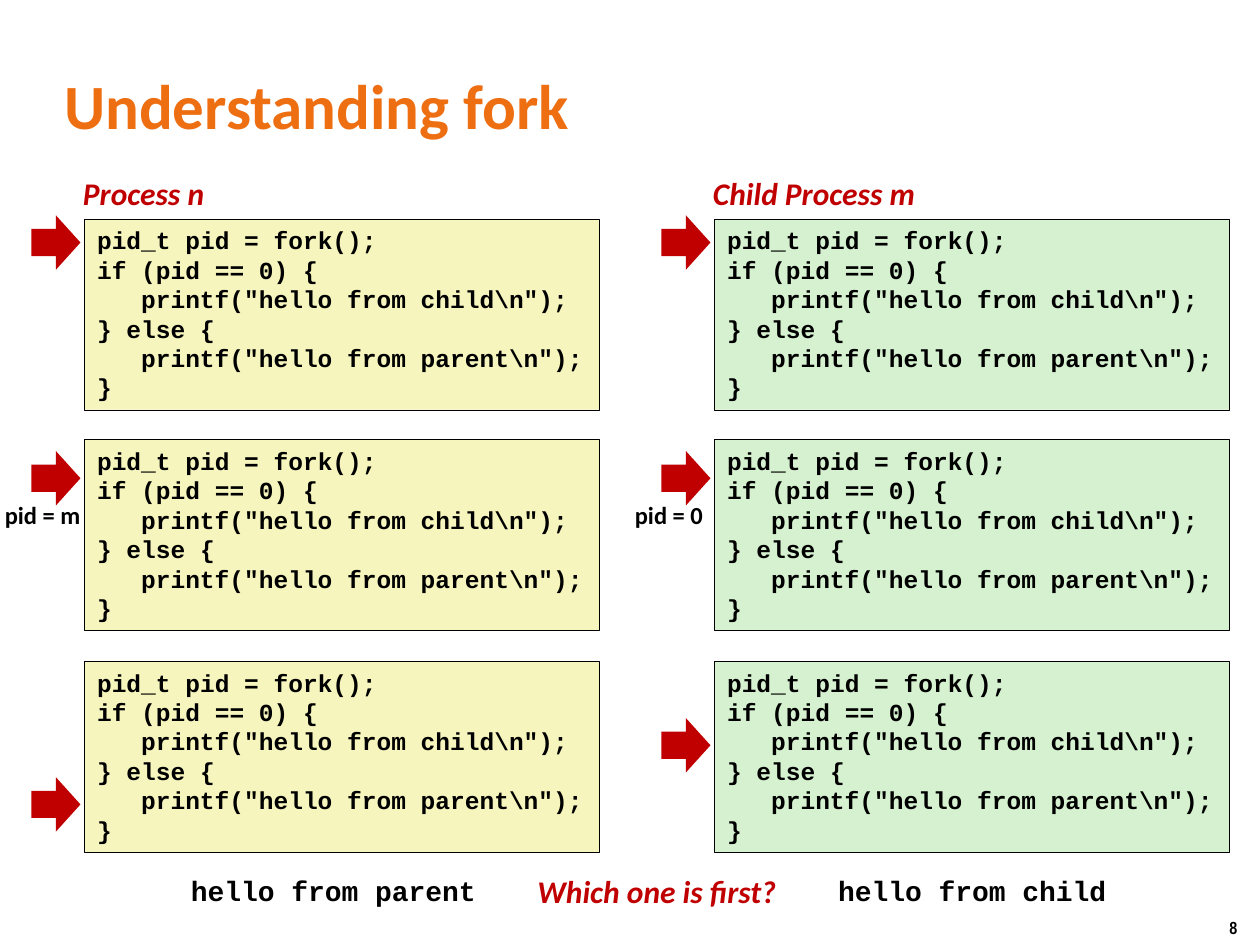
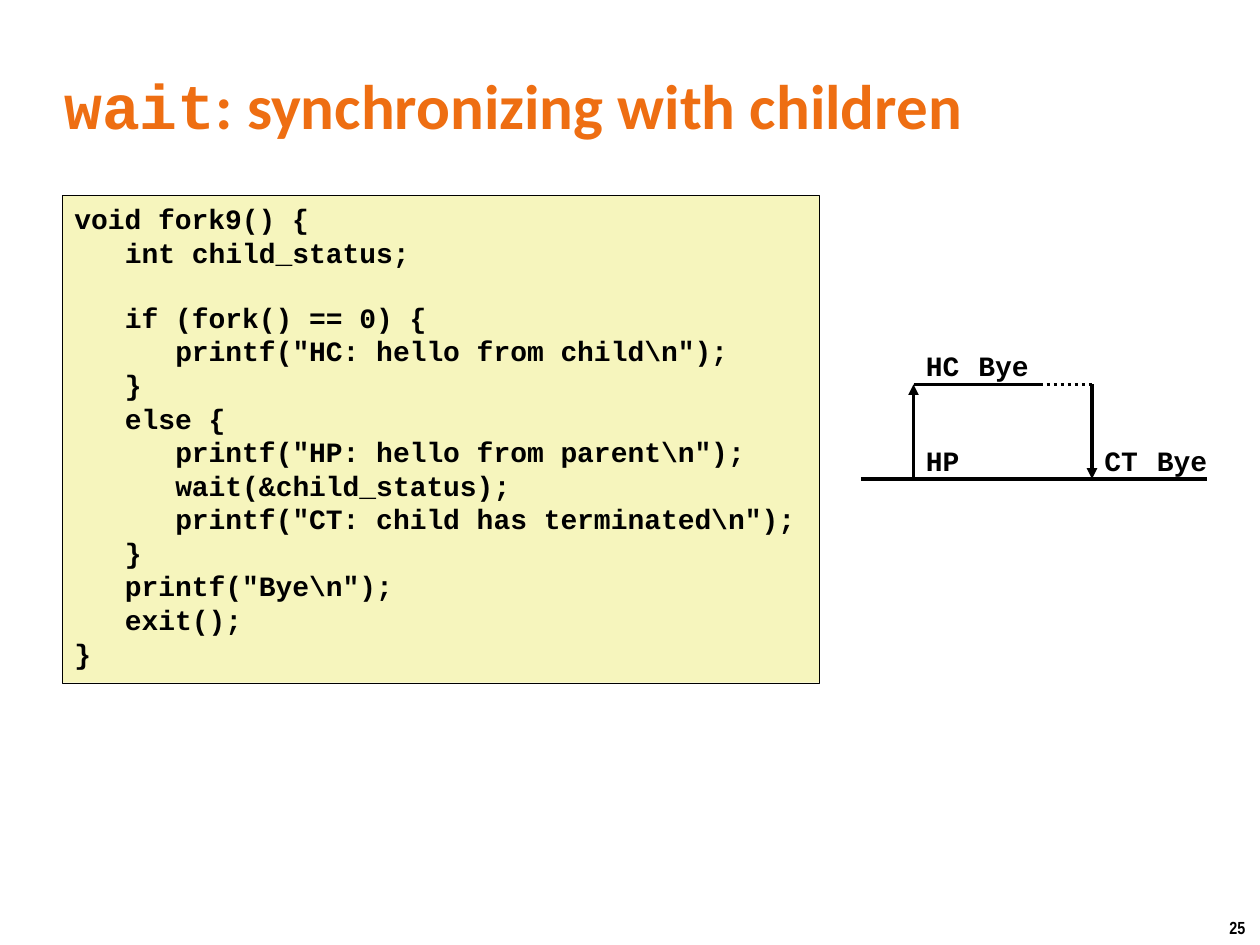
import itertools

import pptx
import pptx.dml.color
import pptx.enum.dml
import pptx.enum.shapes
import pptx.enum.text
import pptx.oxml
import pptx.oxml.ns
import pptx.util
from pptx.util import Pt

COLOURS = {
    "title": "EE6E12",
    "accent": "C00000",
    "ink": "000000",
    "parent": "F6F5BD",
    "child": "D5F1CF",
}
SANS, MONO, NARROW = "Calibri", "Courier New", "Arial Narrow"
MONO_ADVANCE, MONO_LEADING = 0.6, 1.133

FORK_CODE = r"""pid_t pid = fork();
if (pid == 0) {
   printf("hello from child\n");
} else {
   printf("hello from parent\n");
}"""

WAIT_CODE = r"""void fork9() {
   int child_status;

   if (fork() == 0) {
      printf("HC: hello from child\n");
   }
   else {
      printf("HP: hello from parent\n");
      wait(&child_status);
      printf("CT: child has terminated\n");
   }
   printf("Bye\n");
   exit();
}"""


def colour(name):
    return pptx.dml.color.RGBColor.from_string(COLOURS[name])


class Deck:
    """Holds the shared style and the slide being built."""

    def __init__(self):
        self.presentation = pptx.Presentation()
        self.presentation.slide_width = Pt(720)
        self.presentation.slide_height = Pt(540)
        self.slide = None

    def start_slide(self, title_parts, number):
        """Adds a titled slide; title_parts are (text, font) pairs."""
        layout = self.presentation.slide_layouts[5]
        self.slide = self.presentation.slides.add_slide(layout)
        title = self.slide.shapes.title
        title.left, title.top = Pt(29.5), Pt(29.5)
        title.width, title.height = Pt(660), Pt(60)
        frame = title.text_frame
        frame.auto_size = pptx.enum.text.MSO_AUTO_SIZE.NONE
        frame.vertical_anchor = pptx.enum.text.MSO_ANCHOR.MIDDLE
        paragraph = frame.paragraphs[0]
        self.indent(paragraph, 9.36, -9.36)
        for text, font in title_parts:
            self.run(paragraph, text, 36, font, "title")
        self.label(number, 695.5, 520.5, 24.5, 19.5, 10, NARROW)

    def indent(self, paragraph, left, first=0):
        paragraph.alignment = pptx.enum.text.PP_ALIGN.LEFT
        properties = paragraph._p.get_or_add_pPr()
        properties.set("marL", str(Pt(left)))
        properties.set("indent", str(Pt(first)))

    def run(self, paragraph, text, size, font, ink="ink", italic=False):
        run = paragraph.add_run()
        run.text = text
        run.font.size = Pt(size)
        run.font.name = font
        run.font.bold = True
        run.font.italic = italic
        run.font.color.rgb = colour(ink)

    def label(self, text, left, top, width, height, size, font, ink="ink", italic=False):
        box = self.slide.shapes.add_textbox(Pt(left), Pt(top), Pt(width), Pt(height))
        box.text_frame.word_wrap = False
        box.text_frame.auto_size = pptx.enum.text.MSO_AUTO_SIZE.SHAPE_TO_FIT_TEXT
        self.run(box.text_frame.paragraphs[0], text, size, font, ink, italic)

    def heading(self, text, left, top, width):
        self.label(text, left, top, width, 29, 18, SANS, "accent", True)

    def output(self, text, left, top, width):
        self.label(text, left, top, width, 26.6, 16, MONO)

    def shape(self, preset, left, top, width, height, fill):
        shape = self.slide.shapes.add_shape(preset, Pt(left), Pt(top), Pt(width), Pt(height))
        shape.shadow.inherit = False
        shape.fill.solid()
        shape.fill.fore_color.rgb = colour(fill)
        return shape

    def code(self, source, left, top, width, height, size, fill):
        """Adds a code box, turning leading spaces and empty lines into paragraph format."""
        box = self.shape(pptx.enum.shapes.MSO_SHAPE.RECTANGLE, left, top, width, height, fill)
        box.line.color.rgb = colour("ink")
        box.line.width = Pt(0.25)
        frame = box.text_frame
        frame.word_wrap = False
        frame.vertical_anchor = pptx.enum.text.MSO_ANCHOR.TOP
        paragraph, gap = frame.paragraphs[0], 0
        for number, line in enumerate(source.splitlines()):
            statement = line.lstrip()
            if not statement:
                gap += size * MONO_LEADING
                continue
            if number:
                paragraph = frame.add_paragraph()
            self.indent(paragraph, (len(line) - len(statement)) * size * MONO_ADVANCE)
            paragraph.space_before = Pt(gap)
            self.run(paragraph, statement, size, MONO)
            gap = 0

    def pointer(self, left, top):
        arrow = self.shape(pptx.enum.shapes.MSO_SHAPE.RIGHT_ARROW, left, top, 28, 31, "accent")
        arrow.line.fill.background()

    def line(self, start, end, arrow=False, dotted=False):
        line = self.slide.shapes.add_connector(
            pptx.enum.shapes.MSO_CONNECTOR.STRAIGHT, *map(Pt, start + end))
        line.line.color.rgb = colour("ink")
        line.line.width = Pt(2)
        if dotted:
            line.line.dash_style = pptx.enum.dml.MSO_LINE.ROUND_DOT
        if arrow:
            tail = pptx.oxml.parse_xml(
                f'<a:tailEnd {pptx.oxml.ns.nsdecls("a")} type="triangle"/>')
            line.line._get_or_add_ln().append(tail)
        line._element.spPr.append(
            pptx.oxml.parse_xml(f'<a:effectLst {pptx.oxml.ns.nsdecls("a")}/>'))


def build_fork_slide(deck):
    deck.start_slide([("Understanding fork", SANS)], "8")
    step_tops = (125.3, 251.3, 378)
    processes = (
        (0, "Process n", 85, "parent", "pid = m", 58, (123.1, 257.8, 444.2)),
        (360, "Child Process m", 132, "child", "pid = 0", 54, (123.1, 257.8, 410.4)),
    )
    for x, name, name_width, fill, pid, pid_width, pointer_tops in processes:
        deck.heading(name, x + 40.3, 96, name_width)
        for step_top, pointer_top in zip(step_tops, pointer_tops):
            deck.code(FORK_CODE, x + 48.4, step_top, 293.8, 108.9, 14, fill)
            deck.pointer(x + 18, pointer_top)
        deck.label(pid, x - 4.3, 282.4, pid_width, 24.2, 14, SANS)
    deck.output("hello from parent", 102, 495.5, 180)
    deck.output("hello from child", 471.8, 495.5, 170)
    deck.heading("Which one is first?", 300, 494.8, 153.5)


def build_wait_slide(deck):
    deck.start_slide([("wait", MONO), (": synchronizing with children", SANS)], "25")
    deck.code(WAIT_CODE, 35.5, 111.6, 432.8, 278.6, 16, "parent")

    child_y, parent_y = 219.6, 273.6
    start, fork, greeted, child_exit, reaped, parent_bye, end = (
        492, 522, 552, 594, 624, 654, 690)
    stages = (start, fork, greeted, child_exit, reaped, parent_bye, end)
    for left, right in itertools.pairwise(stages):
        deck.line((left, parent_y), (right, parent_y))
    for left, right in itertools.pairwise((fork, greeted, child_exit, reaped)):
        deck.line((left, child_y), (right, child_y), dotted=left == child_exit)
    deck.line((fork, parent_y), (fork, child_y), arrow=True)
    deck.line((reaped, child_y), (reaped, parent_y), arrow=True)

    for text, x, y in (
        ("HP", fork, parent_y),
        ("HC", fork, child_y),
        ("Bye", greeted, child_y),
        ("CT", reaped, parent_y),
        ("Bye", parent_bye, parent_y),
    ):
        deck.output(text, x, y - 23.8, 14.4 + 9.6 * len(text))


def main():
    deck = Deck()
    build_fork_slide(deck)
    build_wait_slide(deck)
    deck.presentation.save("out.pptx")


if __name__ == "__main__":
    main()
